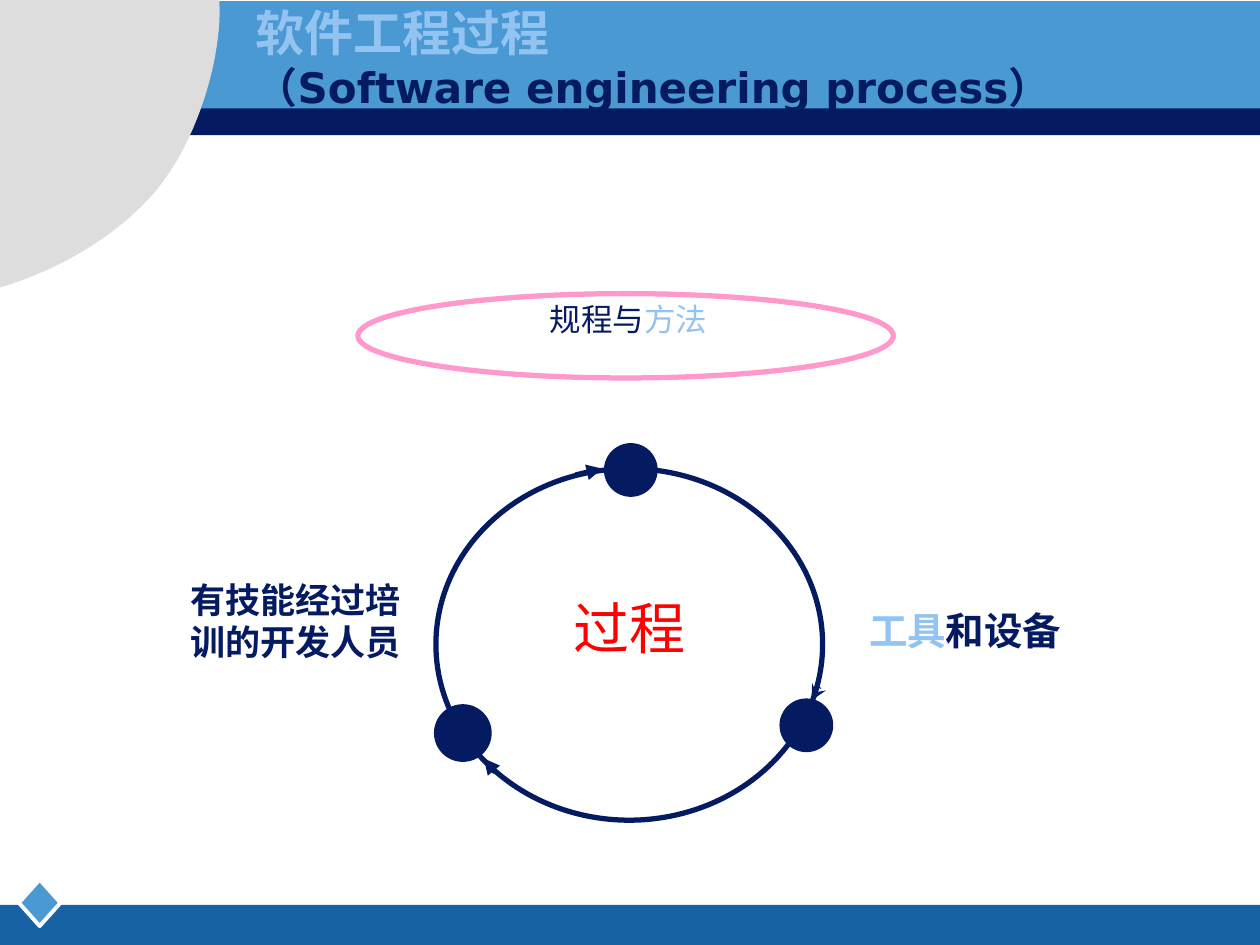
from dataclasses import dataclass

from lxml.etree import SubElement
from pptx import Presentation
from pptx.dml.color import RGBColor
from pptx.enum.shapes import MSO_CONNECTOR as Connector, MSO_SHAPE as Shape
from pptx.enum.text import MSO_ANCHOR as Anchor, PP_ALIGN as Align
from pptx.oxml.ns import qn
from pptx.util import Pt


@dataclass(frozen=True)
class Theme:
    navy: str = "051B61"
    blue: str = "4B99D3"
    deep_blue: str = "1861A4"
    light_blue: str = "93C4F1"
    grey: str = "DDDDDD"
    white: str = "FFFFFF"
    pink: str = "FF99CC"
    red: str = "FF0000"
    title: int = 28
    subtitle: int = 24
    method: int = 18
    tools: int = 22
    people: int = 20
    process: int = 32
    heavy: int = 3


@dataclass(frozen=True)
class Box:
    left: float
    top: float
    width: float
    height: float

    def inner(self, dx, dy, width, height):
        return Box(self.left + dx, self.top + dy, width, height)

    def lengths(self):
        return [Pt(v) for v in (self.left, self.top, self.width, self.height)]


THEME = Theme()


def paint(shape, fill=None, line=None, weight=0.75):
    shape.shadow.inherit = False
    if fill:
        shape.fill.solid()
        shape.fill.fore_color.rgb = RGBColor.from_string(fill)
    else:
        shape.fill.background()
    if line:
        shape.line.color.rgb = RGBColor.from_string(line)
        shape.line.width = Pt(weight)
    else:
        shape.line.fill.background()


def add_preset(slide, kind, box, **style):
    paint(slide.shapes.add_shape(kind, *box.lengths()), **style)


def add_text(slide, box, pieces, font="Arial", bold=False, align=Align.LEFT, anchor=Anchor.TOP):
    frame = slide.shapes.add_textbox(*box.lengths()).text_frame
    frame.word_wrap = True
    frame.vertical_anchor = anchor
    paragraph = frame.paragraphs[0]
    paragraph.alignment = align
    for text, size, color in pieces:
        if paragraph.runs and text.startswith("\n"):
            paragraph.add_line_break()
        run = paragraph.add_run()
        run.text = text.strip("\n")
        run.font.size = Pt(size)
        run.font.bold = bold
        run.font.name = font
        run.font.color.rgb = RGBColor.from_string(color)
        properties = run._r.get_or_add_rPr()
        properties.set("lang", "zh-CN")
        SubElement(properties, qn("a:ea")).set("typeface", font)


def add_arrow(slide, start, end, head):
    arrow = slide.shapes.add_connector(Connector.STRAIGHT, *map(Pt, start + end))
    arrow.line.color.rgb = RGBColor.from_string(THEME.navy)
    arrow.line.width = Pt(THEME.heavy)
    SubElement(arrow.line._get_or_add_ln(), qn("a:tailEnd")).set("type", head)
    SubElement(arrow._element.spPr, qn("a:effectLst"))


def bezier(a, b, c, d, steps=24):
    for i in range(steps + 1):
        t = i / steps
        u = 1 - t
        yield tuple(
            u**3 * p + 3 * u * u * t * q + 3 * u * t * t * r + t**3 * s
            for p, q, r, s in zip(a, b, c, d)
        )


def build_footer(slide, box):
    add_preset(slide, Shape.RECTANGLE, box, fill=THEME.deep_blue)
    add_preset(slide, Shape.DIAMOND, box.inner(10.8, -14.4, 23.8, 26.6),
               fill=THEME.blue, line=THEME.white, weight=2.25)


def build_header(slide, box):
    add_preset(slide, Shape.RECTANGLE, box.inner(0, 54.7, box.width, 22.6), fill=THEME.navy)
    add_preset(slide, Shape.RECTANGLE, box.inner(2, 0.7, box.width - 2, 61.2), fill=THEME.blue)

    knee = (84.2, 114.5)
    outline = [(0, 0), (125.3, 0)]
    outline += bezier((125.3, 0), (127.4, 31), (113, 84.2), knee)
    outline += bezier(knee, (55.4, 144.7), (18, 159.1), (0, 164.2))
    points = [(Pt(box.left + x), Pt(box.top + y)) for x, y in outline]
    builder = slide.shapes.build_freeform(*points[0])
    builder.add_line_segments(points[1:], close=True)
    paint(builder.convert_to_shape(), fill=THEME.grey)

    add_text(slide, box.inner(139, 1.4, 550, 62.6),
             [("软件工程过程", THEME.title, THEME.light_blue),
              ("\n（Software engineering process）", THEME.subtitle, THEME.navy)],
             font="DejaVu Sans", bold=True, anchor=Anchor.MIDDLE)


def build_methods(slide, box):
    add_text(slide, box.inner(46.8, 0, 216, 36),
             [("规程与", THEME.method, THEME.navy), ("方法", THEME.method, THEME.light_blue)],
             font="Noto Sans CJK SC", align=Align.CENTER)
    add_preset(slide, Shape.OVAL, box, line=THEME.pink, weight=THEME.heavy)


def build_cycle(slide, box):
    add_preset(slide, Shape.OVAL, box, line=THEME.navy, weight=THEME.heavy)
    radius = 15
    for x, y, weight in ((111.4, 0.8, 0.75), (15.4, 151.1, THEME.heavy), (211.7, 146.7, 0.75)):
        add_preset(slide, Shape.OVAL, box.inner(x - radius, y - radius, 2 * radius, 2 * radius),
                   fill=THEME.navy, line=THEME.navy, weight=weight)
    for x1, y1, x2, y2, head in (
        (218.9, 124.6, 214.6, 132.5, "stealth"),
        (33.9, 173.5, 27.4, 165.6, "triangle"),
        (79.9, 3.6, 95.1, 0, "triangle"),
    ):
        add_arrow(slide, (box.left + x1, box.top + y1), (box.left + x2, box.top + y2), head)
    add_text(slide, box.inner(47.5, 67.7, 126, 45.4), [("过程", THEME.process, THEME.red)],
             font="Noto Sans CJK JP", align=Align.CENTER)


def build_tools(slide, box):
    add_text(slide, box,
             [("工具", THEME.tools, THEME.light_blue), ("和设备", THEME.tools, THEME.navy)],
             bold=True)


def build_people(slide, box):
    add_text(slide, box, [("有技能经过培训的开发人员", THEME.people, THEME.navy)], bold=True)


def main():
    deck = Presentation()
    deck.slide_width, deck.slide_height = Pt(720), Pt(540)
    slide = deck.slides.add_slide(deck.slide_layouts[6])
    build_footer(slide, Box(0, 517, 720, 23))
    build_header(slide, Box(0, 0, 720, 164.2))
    build_methods(slide, Box(204.5, 167.8, 306, 48.2))
    build_tools(slide, Box(489.6, 343.4, 131.8, 33.8))
    build_people(slide, Box(101.5, 326.9, 145.4, 55.4))
    build_cycle(slide, Box(249.1, 267.8, 221, 200.9))
    deck.save("out.pptx")


if __name__ == "__main__":
    main()
